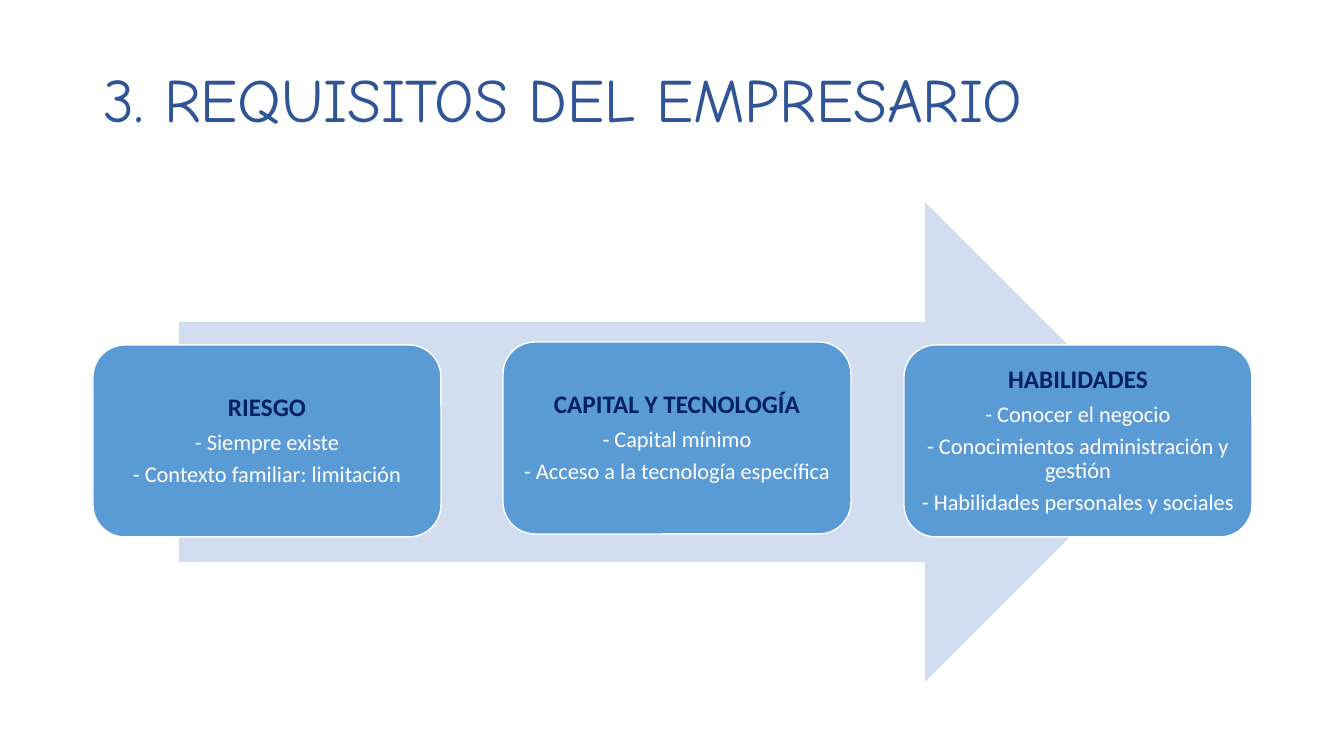
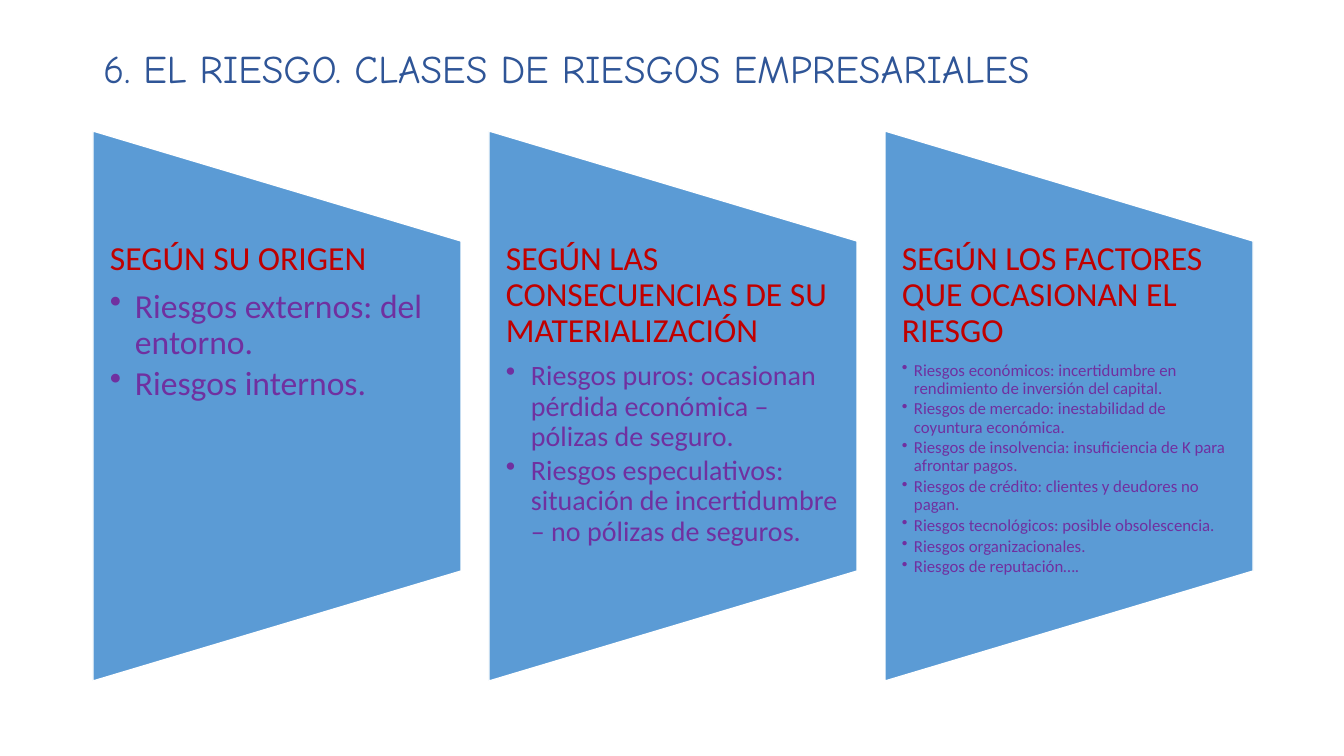
import pptx
import pptx.util
from dataclasses import dataclass
from lxml import etree
from pptx.dml.color import RGBColor
from pptx.enum.shapes import MSO_SHAPE
from pptx.enum.text import MSO_ANCHOR, MSO_AUTO_SIZE, PP_ALIGN
from pptx.oxml.ns import qn


@dataclass(frozen=True)
class Theme:
    title_font: str = "Comic Neue"
    body_font: str = "Calibri"
    title: str = "2F5597"
    arrow: str = "D2DEEF"
    panel: str = "5B9BD5"
    white: str = "FFFFFF"
    navy: str = "002060"
    red: str = "C00000"
    purple: str = "7030A0"
    card_heading_size: int = 18
    card_size: int = 16
    panel_heading_size: int = 24


THEME = Theme()
PX = 12192000 / 1344  # EMU in one px


def px(*lengths):
    return [pptx.util.Emu(round(length * PX)) for length in lengths]


def write(frame, index, text, size, color, after, bold=False, align=PP_ALIGN.LEFT,
          font=THEME.body_font, indent=0):
    """Write one paragraph; after is a share of the type size, indent in px adds a bullet."""
    para = frame.paragraphs[0] if index == 0 else frame.add_paragraph()
    para.text = text
    if indent:
        properties = para._p.get_or_add_pPr()
        hang = px(indent)[0]
        properties.set("marL", str(hang))
        properties.set("indent", str(-hang))
        etree.SubElement(properties, qn("a:buChar")).set("char", "•")
    para.alignment = align
    para.line_spacing = 0.9
    para.space_after = pptx.util.Pt(round(size * after, 1))
    para.font.name = font
    para.font.size = pptx.util.Pt(size)
    para.font.bold = bold
    para.font.color.rgb = RGBColor.from_string(color)


deck = pptx.Presentation()
deck.slide_width, deck.slide_height = px(1344, 756)

# Title text, top, height and type size of each slide
titles = [
    ("3. REQUISITOS DEL EMPRESARIO", 57, 91, 44),
    ("6. EL RIESGO. CLASES DE RIESGOS EMPRESARIALES", 24, 94, 28),
]
pages = []
for text, top, height, size in titles:
    page = deck.slides.add_slide(deck.slide_layouts.get_by_name("Title Only"))
    title = page.shapes.title
    title.left, title.top, title.width, title.height = px(93, top, 1159, height)
    title.text_frame.auto_size = MSO_AUTO_SIZE.NONE
    title.text_frame.vertical_anchor = MSO_ANCHOR.MIDDLE
    write(title.text_frame, 0, text, size, THEME.title, 0, font=THEME.title_font)
    pages.append(page)
requirements_page, risks_page = pages

# Requirements: three cards on an arrow
arrow = requirements_page.shapes.add_shape(MSO_SHAPE.RIGHT_ARROW, *px(179, 202, 986, 480))
arrow.shadow.inherit = False
arrow.fill.solid()
arrow.fill.fore_color.rgb = RGBColor.from_string(THEME.arrow)
arrow.line.fill.background()

cards = [
    (93, 345, "RIESGO", ["- Siempre existe", "- Contexto familiar: limitación"]),
    (503, 342, "CAPITAL Y TECNOLOGÍA",
     ["- Capital mínimo", "- Acceso a la tecnología específica"]),
    (904, 345, "HABILIDADES",
     ["- Conocer el negocio", "- Conocimientos administración y gestión",
      "- Habilidades personales y sociales"]),
]
for left, top, heading, lines in cards:
    card = requirements_page.shapes.add_shape(
        MSO_SHAPE.ROUNDED_RECTANGLE, *px(left, top, 348, 192))
    card.shadow.inherit = False
    card.fill.solid()
    card.fill.fore_color.rgb = RGBColor.from_string(THEME.panel)
    card.line.color.rgb = RGBColor.from_string(THEME.white)
    card.line.width = pptx.util.Pt(1)
    frame = card.text_frame
    frame.word_wrap = True
    frame.vertical_anchor = MSO_ANCHOR.MIDDLE
    frame.margin_left, frame.margin_top, frame.margin_right, frame.margin_bottom = px(7, 7, 7, 7)
    write(frame, 0, heading, THEME.card_heading_size, THEME.navy, 0.35,
          bold=True, align=PP_ALIGN.CENTER)
    for index, line in enumerate(lines, 1):
        write(frame, index, line, THEME.card_size, THEME.white, 0.35, align=PP_ALIGN.CENTER)

# Risks: three tapering panels; each has its own list size and indent
panels = [
    ("SEGÚN SU ORIGEN", 24, 25, ["Riesgos externos: del entorno.", "Riesgos internos."]),
    ("SEGÚN LAS CONSECUENCIAS DE SU MATERIALIZACIÓN", 20, 25,
     ["Riesgos puros: ocasionan pérdida económica – pólizas de seguro.",
      "Riesgos especulativos: situación de incertidumbre – no pólizas de seguros."]),
    ("SEGÚN LOS FACTORES QUE OCASIONAN EL RIESGO", 12, 12,
     ["Riesgos económicos: incertidumbre en rendimiento de inversión del capital.",
      "Riesgos de mercado: inestabilidad de coyuntura económica.",
      "Riesgos de insolvencia: insuficiencia de K para afrontar pagos.",
      "Riesgos de crédito: clientes y deudores no pagan.",
      "Riesgos tecnológicos: posible obsolescencia.",
      "Riesgos organizacionales.",
      "Riesgos de reputación…."]),
]
PANEL_WIDTH, PANEL_HEIGHT, PANEL_STEP = 368, 550, 396
for column, (heading, size, indent, lines) in enumerate(panels):
    left = 93 + column * PANEL_STEP
    # The panel is turned on its side, so its box is as wide as the panel is high
    panel = risks_page.shapes.add_shape(
        MSO_SHAPE.FLOWCHART_MANUAL_OPERATION,
        *px(left - (PANEL_HEIGHT - PANEL_WIDTH) // 2, 222, PANEL_HEIGHT, PANEL_WIDTH))
    panel.rotation = 270
    panel.shadow.inherit = False
    panel.fill.solid()
    panel.fill.fore_color.rgb = RGBColor.from_string(THEME.panel)
    panel.line.color.rgb = RGBColor.from_string(THEME.white)
    panel.line.width = pptx.util.Pt(1)

    box = risks_page.shapes.add_textbox(*px(left, 241, PANEL_WIDTH, 330))
    frame = box.text_frame
    frame.word_wrap = True
    frame.margin_left, frame.margin_top, frame.margin_right, frame.margin_bottom = px(17, 0, 17, 0)
    write(frame, 0, heading, THEME.panel_heading_size, THEME.red, 0.35)
    for index, line in enumerate(lines, 1):
        write(frame, index, line, size, THEME.purple, 0.15, indent=indent)

deck.save("out.pptx")
